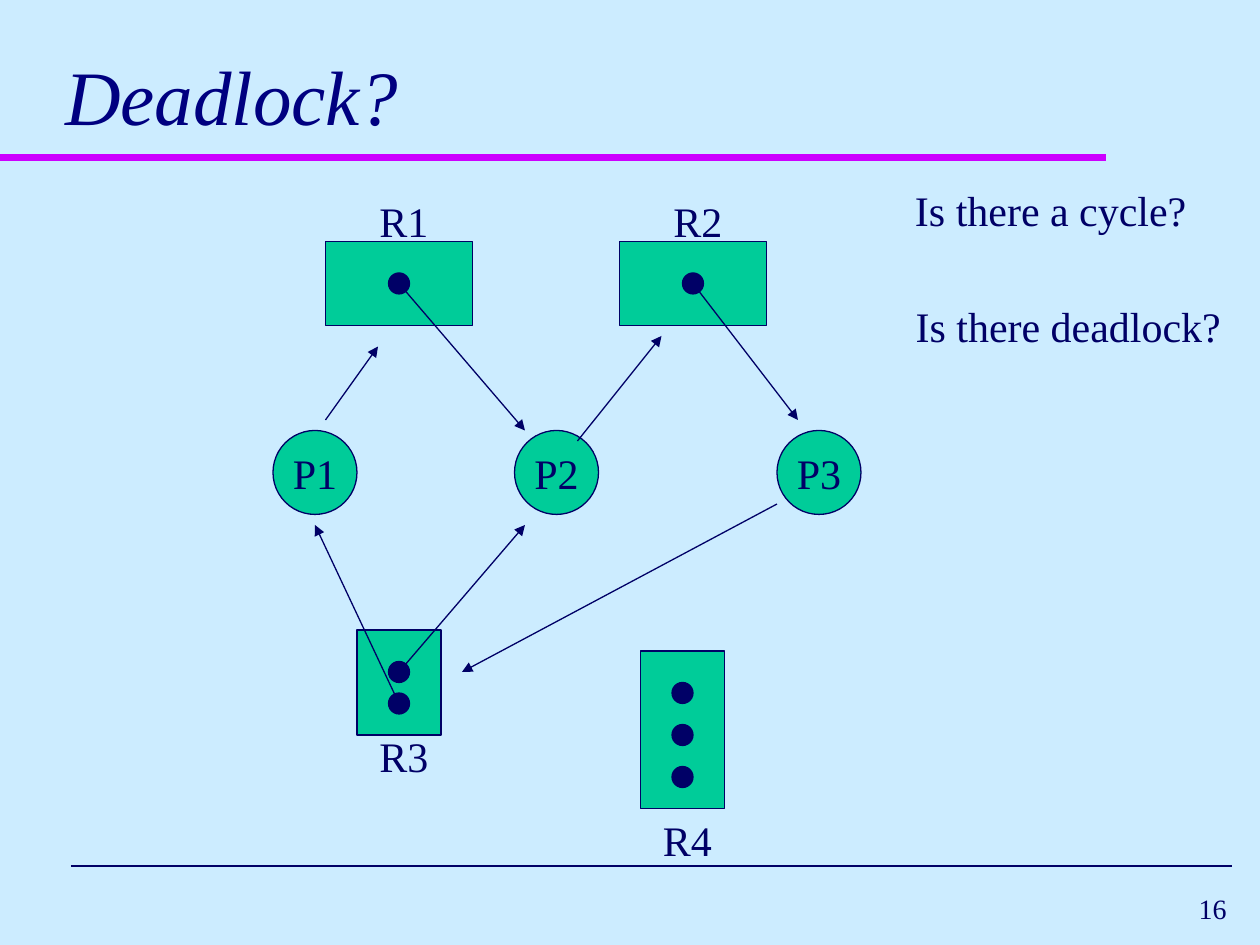
from dataclasses import dataclass

from lxml import etree
from pptx import Presentation
from pptx.dml.color import RGBColor
from pptx.enum import shapes, text
from pptx.oxml.ns import qn
from pptx.util import Pt


@dataclass(frozen=True)
class Theme:
    font: str = "Times New Roman"
    back: str = "CCECFF"
    ink: str = "000066"
    head: str = "000080"
    node: str = "00CC99"
    rule: str = "CC00FF"
    title: int = 44
    body: int = 24
    foot: int = 16
    thin: float = 0.75


LEFT, MID, RIGHT = text.PP_ALIGN.LEFT, text.PP_ALIGN.CENTER, text.PP_ALIGN.RIGHT
RECT, OVAL = shapes.MSO_SHAPE.RECTANGLE, shapes.MSO_SHAPE.OVAL


def write(shape, words, size, color, font, align=MID, italic=False,
          wrap=False, anchor=text.MSO_ANCHOR.MIDDLE):
    frame = shape.text_frame
    frame.word_wrap = wrap
    frame.auto_size = text.MSO_AUTO_SIZE.NONE
    frame.vertical_anchor = anchor
    para = frame.paragraphs[0]
    para.alignment = align
    run = para.add_run()
    run.text = words
    run.font.name = font
    run.font.size = Pt(size)
    run.font.italic = italic
    run.font.color.rgb = RGBColor.from_string(color)


class Board:
    def __init__(self, slide, theme):
        self.slide, self.theme = slide, theme
        fill = slide.background.fill
        fill.solid()
        fill.fore_color.rgb = RGBColor.from_string(theme.back)

    def title(self, words, *box):
        t, shape = self.theme, self.slide.shapes.title
        shape.left, shape.top, shape.width, shape.height = map(Pt, box)
        write(shape, words, t.title, t.head, t.font, align=LEFT, italic=True,
              wrap=True, anchor=text.MSO_ANCHOR.BOTTOM)

    def label(self, words, *box, size=None, align=MID):
        t = self.theme
        shape = self.slide.shapes.add_textbox(*map(Pt, box))
        write(shape, words, size or t.body, t.ink, t.font, align=align)

    def shape(self, kind, x, y, wide, high, fill=None):
        """Draw a preset shape centred on (x, y)."""
        t = self.theme
        box = (x - wide / 2, y - high / 2, wide, high)
        shape = self.slide.shapes.add_shape(kind, *map(Pt, box))
        shape.shadow.inherit = False
        shape.fill.solid()
        shape.fill.fore_color.rgb = RGBColor.from_string(fill or t.node)
        shape.line.color.rgb = RGBColor.from_string(t.ink)
        shape.line.width = Pt(t.thin)
        return shape

    def process(self, name, x, y):
        t = self.theme
        write(self.shape(OVAL, x, y, 48, 48), name, t.body, t.ink, t.font)

    def dot(self, x, y):
        self.shape(OVAL, x, y, 12, 12, self.theme.ink)

    def line(self, start, end, color=None, width=None, arrow=False):
        t = self.theme
        line = self.slide.shapes.add_connector(
            shapes.MSO_CONNECTOR.STRAIGHT, *map(Pt, (*start, *end)))
        line.line.color.rgb = RGBColor.from_string(color or t.ink)
        line.line.width = Pt(width or t.thin)
        props = line._element.spPr
        if arrow:
            etree.SubElement(props.find(qn("a:ln")), qn("a:tailEnd"), type="triangle")
        etree.SubElement(props, qn("a:effectLst"))


def main():
    deck = Presentation()
    deck.slide_width, deck.slide_height = Pt(720), Pt(540)
    theme = Theme()
    board = Board(deck.slides.add_slide(deck.slide_layouts[5]), theme)

    # Frame: rules, page number, title
    board.line((0, 90), (632, 90), theme.rule, 4)
    board.line((40.5, 495), (704, 495), width=1)
    board.label("16", 558, 504, 150, 30, size=theme.foot, align=RIGHT)
    board.title("Deadlock?", 30, 12, 666, 72)

    # Resources: name, centre, size, label top, heights of the dots
    stock = [
        ("R1", 228, 162, 84, 48, 108, [162]),
        ("R2", 396, 162, 84, 48, 108, [162]),
        ("R3", 228, 390, 48, 60, 414, [384, 402]),
        ("R4", 390, 417, 48, 90, 462, [396, 420, 444]),
    ]
    for name, x, y, wide, high, top, dots in stock:
        board.shape(RECT, x, y, wide, high)
        for level in dots:
            board.dot(x, level)
        board.label(name, x - 18.5, top, 42.5, 36)

    # Processes
    for name, x in (("P1", 180), ("P2", 318), ("P3", 468)):
        board.process(name, x, 270)

    # Requests and assignments
    edges = [
        ((186, 240), (216, 198)),
        ((228, 162), (300, 246)),
        ((330, 252), (378, 192)),
        ((396, 162), (456, 240)),
        ((228, 384), (300, 300)),
        ((228, 402), (180, 300)),
        ((444, 288), (264, 384)),
    ]
    for start, end in edges:
        board.line(start, end, arrow=True)

    # Questions
    board.label("Is there a cycle?", 516, 102, 169, 36)
    board.label("Is there deadlock?", 516, 168, 189, 36)

    deck.save("out.pptx")


if __name__ == "__main__":
    main()
